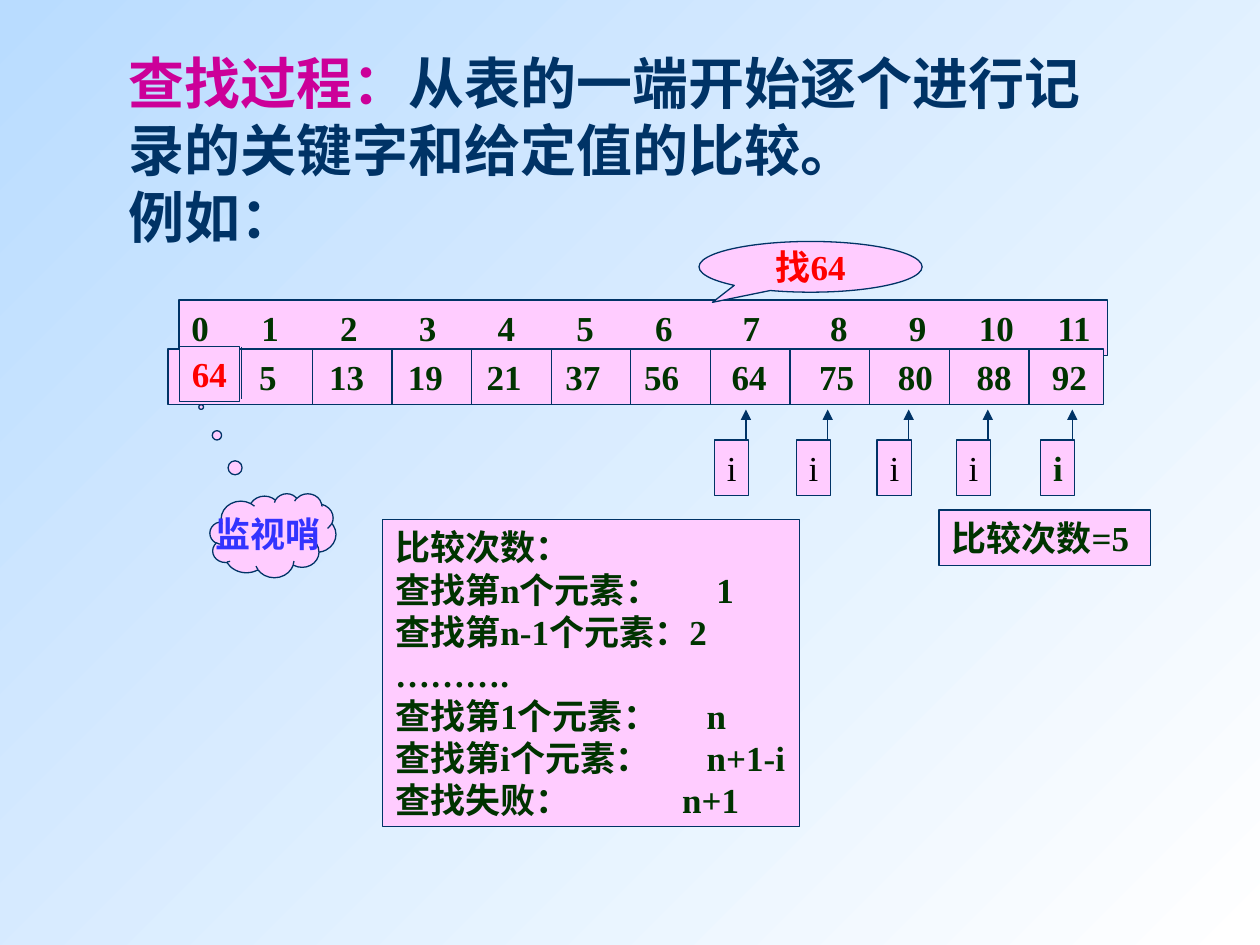
from lxml.etree import SubElement
from pptx import Presentation
from pptx.dml.color import RGBColor
from pptx.enum.shapes import MSO_CONNECTOR as Line, MSO_SHAPE as Kind
from pptx.enum.text import MSO_ANCHOR as Anchor, MSO_AUTO_SIZE as Auto, PP_ALIGN as Align
from pptx.oxml.ns import qn
from pptx.util import Pt

WHITE = RGBColor(0xFF, 0xFF, 0xFF)
SKY = RGBColor(0xB9, 0xDC, 0xFF)
PINK = RGBColor(0xFF, 0xCC, 0xFF)
NAVY = RGBColor(0x00, 0x33, 0x66)
GREEN = RGBColor(0x00, 0x33, 0x00)
BLACK = RGBColor(0x00, 0x00, 0x00)
RED = RGBColor(0xFF, 0x00, 0x00)
BLUE = RGBColor(0x33, 0x33, 0xFF)
ROSE = RGBColor(0xCC, 0x00, 0x99)
FONT = "Times New Roman"

INDEX = [str(n) for n in range(12)]
VALUES = ["", "5", "13", "19", "21", "37", "56", "64", "75", "80", "88", "92"]
STOPS = [85, 130, 175, 220, 265, 315, 365, 410]
COUNTS = [
    ("比较次数：", []),
    ("查找第n个元素：\t1", [183.5]),
    ("查找第n-1个元素：2", []),
    ("……….", []),
    ("查找第1个元素：\tn", [178]),
    ("查找第i个元素：\tn+1-i", [178]),
    ("查找失败：\tn+1", [164]),
]
MARKS = [408.25, 455, 501.25, 546.5, 594.75]


def style(run, color, size=20, bold=True):
    """Set the font of one run."""
    font = run.font
    font.name, font.size, font.bold = FONT, Pt(size), bold
    font.color.rgb = color


def set_tabs(para, stops):
    """Give a paragraph left tab stops, measured in points."""
    if stops:
        tabs = SubElement(para._p.get_or_add_pPr(), qn("a:tabLst"))
        for stop in stops:
            SubElement(tabs, qn("a:tab"), pos=str(Pt(stop)), algn="l")


def set_frame(frame, wrap, anchor):
    """Set the wrapping, anchor and insets of a text frame."""
    frame.word_wrap, frame.auto_size = wrap, Auto.NONE
    frame.vertical_anchor = anchor
    frame.margin_left = frame.margin_right = Pt(7.2)
    frame.margin_top = frame.margin_bottom = Pt(3.6)


def add_box(slide, area, lines, color=GREEN, kind=Kind.RECTANGLE, adj=(),
            align=Align.LEFT, anchor=Anchor.TOP, wrap=False, bold=True):
    """Add a pink outlined shape holding (text, tab stops) lines."""
    box = slide.shapes.add_shape(kind, *map(Pt, area))
    box.shadow.inherit = False
    box.fill.solid()
    box.fill.fore_color.rgb = PINK
    box.line.color.rgb, box.line.width = NAVY, Pt(0.75)
    for i, value in enumerate(adj):
        box.adjustments[i] = value
    frame = box.text_frame
    set_frame(frame, wrap, anchor)
    frame.text = "\n".join(text for text, _ in lines)
    for para, (_, stops) in zip(frame.paragraphs, lines):
        para.alignment = align
        set_tabs(para, stops)
        for run in para.runs:
            style(run, color, bold=bold)


def add_line(slide, x, start, end, arrow=False):
    """Add a vertical line, with an arrowhead at its end if asked."""
    line = slide.shapes.add_connector(Line.STRAIGHT, Pt(x), Pt(start), Pt(x), Pt(end))
    line.line.color.rgb, line.line.width = NAVY, Pt(0.75)
    if arrow:
        SubElement(line.line._get_or_add_ln(), qn("a:tailEnd"), type="triangle")
    SubElement(line._element.spPr, qn("a:effectLst"))


def add_title(slide):
    """Place the heading and colour its lead words."""
    title = slide.shapes.title
    title.left, title.top, title.width, title.height = map(Pt, (66, 24, 582, 122))
    frame = title.text_frame
    set_frame(frame, True, Anchor.TOP)
    frame.text = "查找过程：\n例如："
    first, last = frame.paragraphs
    first.add_run().text = "从表的一端开始逐个进行记录的关键字和给定值的比较。"
    for para in (first, last):
        para.alignment = Align.LEFT
        for run in para.runs:
            style(run, NAVY, 32)
    first.runs[0].font.color.rgb = ROSE


def add_rows(slide):
    """Draw the index row, the value row and the cell borders."""
    add_box(slide, (102.25, 171.5, 530.5, 31.5),
            [("\t".join(INDEX), [40, *STOPS, 450, 495])], wrap=True)
    add_box(slide, (96, 199.5, 534.5, 31.5),
            [("\t".join(VALUES), [45, *STOPS, 455, 498])],
            anchor=Anchor.MIDDLE, wrap=True)
    for col in range(10):
        add_line(slide, 178.5 + 45.5 * col, 199.5, 231)


def add_mark(slide, left, last):
    """Draw one position of i with its arrow."""
    add_line(slide, left + 18, 262, 234, True)
    add_box(slide, (left, 251.5, 19.5, 31.5), [("i", [])],
            GREEN if last else BLACK, bold=last)


def main():
    """Build the slide and save it."""
    prs = Presentation()
    prs.slide_width, prs.slide_height = Pt(720), Pt(540)
    slide = prs.slides.add_slide(prs.slide_layouts[5])
    fill = slide.background.fill
    fill.gradient()
    fill.gradient_angle = 135
    for stop, color in zip(fill.gradient_stops, (WHITE, SKY)):
        stop.color.rgb = color
    add_title(slide)
    add_rows(slide)
    mid = {"align": Align.CENTER, "anchor": Anchor.MIDDLE}
    add_box(slide, (399.5, 138, 127.5, 29), [("找64", [])], RED,
            Kind.OVAL_CALLOUT, (-0.44, 0.7), **mid)
    add_line(slide, 138, 198, 228)
    add_box(slide, (102.5, 198, 34.5, 31.5), [("64", [])], RED)
    add_box(slide, (120, 282, 72, 48), [("监视哨", [])], BLUE,
            Kind.CLOUD_CALLOUT, (-0.57, -1.53), **mid)
    for left in MARKS:
        add_mark(slide, left, left == MARKS[-1])
    add_box(slide, (536.5, 291.5, 121, 31.5), [("比较次数=5", [])])
    add_box(slide, (218.75, 297, 238, 175.5), COUNTS, wrap=True)
    prs.save("out.pptx")


if __name__ == "__main__":
    main()
